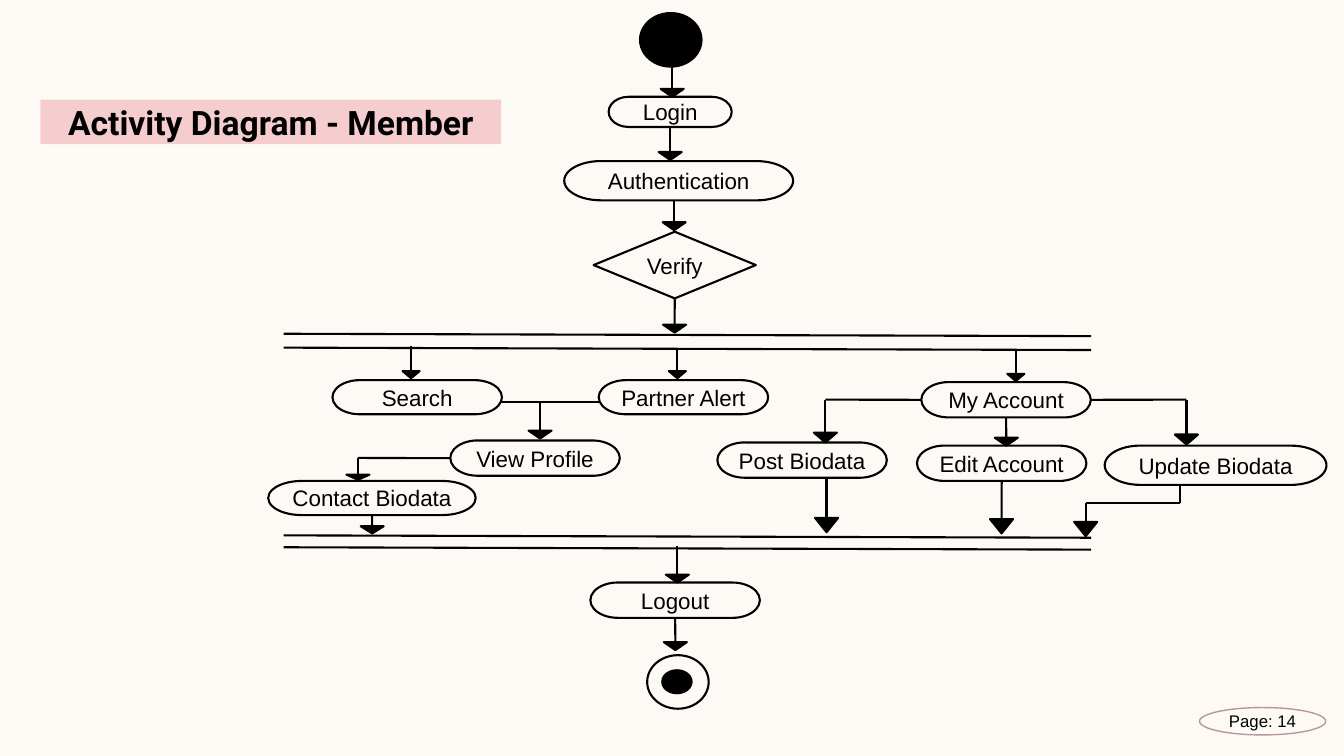
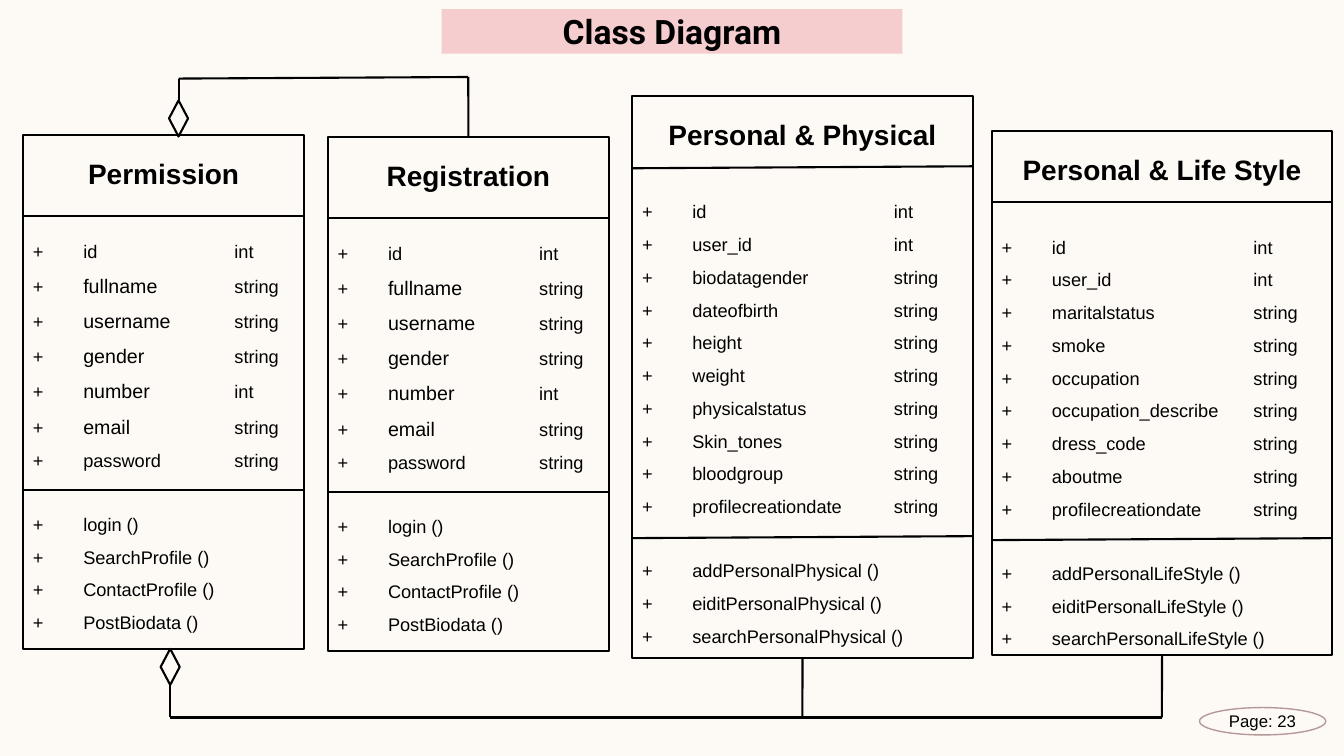
from dataclasses import dataclass
from typing import NamedTuple, Optional

from lxml.etree import SubElement
from pptx import Presentation
from pptx.dml.color import RGBColor
from pptx.enum.shapes import MSO_CONNECTOR, MSO_SHAPE
from pptx.enum.text import MSO_ANCHOR, MSO_AUTO_SIZE, PP_ALIGN
from pptx.oxml.ns import qn
from pptx.util import Cm, Pt


@dataclass(frozen=True)
class Theme:
    paper: RGBColor = RGBColor(0xFD, 0xFA, 0xF6)
    band: RGBColor = RGBColor(0xF5, 0xCD, 0xCE)
    badge: RGBColor = RGBColor(0xB5, 0x98, 0x98)
    ink: RGBColor = RGBColor(0, 0, 0)
    title_font: str = "Roboto"
    font: str = "Arial"
    title: int = 24
    heading: int = 20
    node: int = 16
    large_row: int = 14
    row: int = 13
    page: int = 12
    stroke: float = 1.5


T = Theme()
TOP, LEFT, BOTTOM, RIGHT = range(4)


class Node(NamedTuple):
    text: str
    x: float
    y: float
    w: float = 4.27
    h: float = 0.89
    kind: MSO_SHAPE = MSO_SHAPE.FLOWCHART_TERMINATOR
    filled: bool = False


class Arrow(NamedTuple):
    x: float
    y: float
    tip: float
    head_w: float = 0.58
    head_h: float = 0.2
    source: str = ""


class Attribute(NamedTuple):
    name: str
    type: str
    size: int = T.row


class ClassBox(NamedTuple):
    name: str
    x: float
    y: float
    w: float
    h: float
    type_tab: float
    dividers: tuple  # (left height, right height) of each rule
    attributes: list
    methods: list


def add_run(p, text: str, size: float, bold: bool = False, font: str = T.font) -> None:
    r = p.add_run()
    r.text = text
    r.font.name, r.font.size, r.font.bold = font, Pt(size), bold
    r.font.color.rgb = T.ink


def add_outline(slide, kind, x, y, w, h, filled=False, color=T.ink, width=T.stroke):
    sp = slide.shapes.add_shape(kind, Cm(x), Cm(y), Cm(w), Cm(h))
    sp.shadow.inherit = False
    if filled:
        sp.fill.solid()
        sp.fill.fore_color.rgb = T.ink
    else:
        sp.fill.background()
    sp.line.color.rgb = color
    sp.line.width = Pt(width)
    return sp


def add_label(sp, text: str, size: float) -> None:
    tf = sp.text_frame
    tf.margin_left = tf.margin_right = tf.margin_top = tf.margin_bottom = 0
    tf.vertical_anchor = MSO_ANCHOR.MIDDLE
    p = tf.paragraphs[0]
    p.alignment = PP_ALIGN.CENTER
    add_run(p, text, size)


def add_line(slide, x1: float, y1: float, x2: float, y2: float,
             begin: Optional[tuple] = None, end: Optional[tuple] = None) -> None:
    """Draw a line; begin and end are (shape, side) pairs to join."""
    c = slide.shapes.add_connector(MSO_CONNECTOR.STRAIGHT, Cm(x1), Cm(y1), Cm(x2), Cm(y2))
    c.line.color.rgb = T.ink
    c.line.width = Pt(T.stroke)
    SubElement(c._element.spPr, qn("a:effectLst"))
    if begin:
        c.begin_connect(*begin)
    if end:
        c.end_connect(*end)


def add_node(slide, node: Node):
    sp = add_outline(slide, node.kind, node.x, node.y, node.w, node.h, node.filled)
    if node.text:
        add_label(sp, node.text, T.node)
    return sp


def add_arrow(slide, a: Arrow, nodes: dict) -> None:
    base = a.tip - a.head_h
    begin = (nodes[a.source], BOTTOM) if a.source else None
    add_line(slide, a.x, a.y, a.x, base, begin)
    head = add_outline(slide, MSO_SHAPE.FLOWCHART_EXTRACT, a.x - a.head_w / 2, base,
                       a.head_w, a.head_h, filled=True)
    head.rotation = 180


def add_slide(prs, title: str, x: float, y: float, page: int):
    slide = prs.slides.add_slide(prs.slide_layouts[5])
    sp = slide.shapes.title
    sp.left, sp.top, sp.width, sp.height = Cm(x), Cm(y), Cm(11.61), Cm(1.12)
    sp.fill.solid()
    sp.fill.fore_color.rgb = T.band
    tf = sp.text_frame
    tf.auto_size = MSO_AUTO_SIZE.NONE
    tf.word_wrap = True
    tf.vertical_anchor = MSO_ANCHOR.MIDDLE
    p = tf.paragraphs[0]
    p.alignment = PP_ALIGN.CENTER
    add_run(p, title, T.title, True, T.title_font)
    badge = add_outline(slide, MSO_SHAPE.OVAL, 30.23, 17.83, 3.18, 0.69, color=T.badge, width=1)
    add_label(badge, f"Page: {page}", T.page)
    return slide


def add_row(tf, type_tab: float):
    p = tf.add_paragraph()
    p.alignment = PP_ALIGN.LEFT
    p.line_spacing = 1.5
    tabs = SubElement(p._p.get_or_add_pPr(), qn("a:tabLst"))
    for stop in (1.27, type_tab):
        SubElement(tabs, qn("a:tab"), pos=str(Cm(stop)), algn="l")
    add_run(p, "+\t", T.row)
    return p


def add_class(slide, box: ClassBox):
    sp = add_outline(slide, MSO_SHAPE.RECTANGLE, box.x, box.y, box.w, box.h)
    tf = sp.text_frame
    tf.word_wrap = True
    tf.vertical_anchor = MSO_ANCHOR.TOP
    p = tf.paragraphs[0]
    p.alignment = PP_ALIGN.CENTER
    p.line_spacing = 1.5
    p.space_after = Pt(27.6)
    add_run(p, box.name, T.heading, True)
    for attribute in box.attributes:
        p = add_row(tf, box.type_tab)
        add_run(p, attribute.name, attribute.size)
        add_run(p, f"\t{attribute.type}", T.row)
    for i, method in enumerate(box.methods):
        p = add_row(tf, box.type_tab)
        if i == 0:
            p.space_before = Pt(22.4)
        add_run(p, f"{method} ()", T.row)
    for y1, y2 in box.dividers:
        add_line(slide, box.x, y1, box.x + box.w, y2)
    return sp


NODES = [
    Node("", 16.13, 0.33, 1.55, 1.35, MSO_SHAPE.OVAL, True),
    Node("Login", 15.34, 2.44, 3.1, 0.76),
    Node("Authentication", 14.22, 4.06, 5.77, 0.99),
    Node("Verify", 14.96, 5.84, 4.09, 1.68, MSO_SHAPE.FLOWCHART_DECISION),
    Node("Search", 8.38, 9.58, h=0.86),
    Node("Partner Alert", 15.09, 9.58, h=0.86),
    Node("My Account", 23.22, 9.63),
    Node("View Profile", 11.35, 11.1),
    Node("Post Biodata", 18.08, 11.15),
    Node("Edit Account", 23.11, 11.23),
    Node("Update Biodata", 27.84, 11.23, 5.59, 0.99),
    Node("Contact Biodata", 6.76, 12.12, 5.23, 0.86),
    Node("Logout", 14.88, 14.68),
    Node("", 16.31, 16.51, 1.55, 1.35, MSO_SHAPE.OVAL),
    Node("", 16.69, 16.89, 0.74, 0.58, MSO_SHAPE.OVAL, True),
]

ARROWS = [
    Arrow(16.94, 1.52, 2.44),
    Arrow(16.89, 3.2, 4.03, source="Login"),
    Arrow(16.99, 5.05, 5.8),
    Arrow(17, 7.52, 8.38, source="Verify"),
    Arrow(10.36, 8.71, 9.53, 0.43, 0.18),
    Arrow(17.07, 8.76, 9.53, 0.43, 0.18),
    Arrow(25.6, 8.79, 9.6, 0.43, 0.18),
    Arrow(13.61, 10.13, 11.05),
    Arrow(20.8, 10.07, 11.15, head_h=0.25),
    Arrow(29.9, 10.07, 11.2, head_h=0.25),
    Arrow(25.36, 10.52, 11.23, source="My Account"),
    Arrow(9.02, 11.54, 12.09, head_h=0.13),
    Arrow(20.83, 12.04, 13.41, head_h=0.36),
    Arrow(25.24, 12.12, 13.44, head_h=0.36, source="Edit Account"),
    Arrow(27.36, 12.67, 13.51, head_h=0.36),
    Arrow(9.38, 12.98, 13.44, head_h=0.18, source="Contact Biodata"),
    Arrow(17.07, 13.77, 14.68),
    Arrow(17.02, 15.57, 16.38, source="Logout"),
]

USER_ATTRIBUTES = [
    Attribute("id", "int"),
    *(Attribute(name, kind, T.large_row) for name, kind in (
        ("fullname", "string"), ("username", "string"), ("gender", "string"),
        ("number", "int"), ("email", "string"))),
    Attribute("password", "string"),
]
USER_METHODS = ["login", "SearchProfile", "ContactProfile", "PostBiodata"]


def profile_attributes(*names: str) -> list:
    keys = [Attribute("id", "int"), Attribute("user_id", "int")]
    return keys + [Attribute(name, "string") for name in (*names, "profilecreationdate")]


def profile_methods(subject: str) -> list:
    return [f"{verb}Personal{subject}" for verb in ("add", "eidit", "search")]


CLASSES = [
    ClassBox("Permission", 0.58, 3.4, 7.09, 12.95, 5.08, ((5.44, 5.44), (12.34, 12.34)),
             USER_ATTRIBUTES, USER_METHODS),
    ClassBox("Registration", 8.26, 3.45, 7.09, 12.95, 5.08, ((5.49, 5.49), (12.4, 12.4)),
             USER_ATTRIBUTES, USER_METHODS),
    ClassBox("Personal & Physical", 15.93, 2.41, 8.59, 14.17, 6.35,
             ((4.24, 4.19), (13.56, 13.51)),
             profile_attributes("biodatagender", "dateofbirth", "height", "weight",
                                "physicalstatus", "Skin_tones", "bloodgroup"),
             profile_methods("Physical")),
    ClassBox("Personal & Life Style", 24.99, 3.3, 8.59, 13.21, 6.35,
             ((5.08, 5.08), (13.61, 13.56)),
             profile_attributes("maritalstatus", "smoke", "occupation", "occupation_describe",
                                "dress_code", "aboutme"),
             profile_methods("LifeStyle")),
]


def build_activity(prs) -> None:
    slide = add_slide(prs, "Activity Diagram - Member", 1.02, 2.51, 14)
    nodes = {node.text: add_node(slide, node) for node in NODES}
    for y in (8.41, 8.76, 13.49, 13.79):
        add_line(slide, 7.15, y, 27.5, y + 0.06)
    for arrow in ARROWS:
        add_arrow(slide, arrow, nodes)
    account, view = nodes["My Account"], nodes["View Profile"]
    add_line(slide, 23.22, 10.07, 20.8, 10.07, (account, LEFT))
    add_line(slide, 27.49, 10.07, 29.9, 10.07, (account, RIGHT))
    add_line(slide, 11.35, 11.54, 9.02, 11.54, (view, LEFT))
    add_line(slide, 12.65, 10.13, 15.09, 10.13)
    add_line(slide, 29.74, 12.22, 29.74, 12.67)
    add_line(slide, 29.74, 12.67, 27.36, 12.67)


def build_classes(prs) -> None:
    slide = add_slide(prs, "Class Diagram", 11.13, 0.23, 23)
    _, registration, physical, life_style = [add_class(slide, box) for box in CLASSES]
    upper, lower = [add_outline(slide, MSO_SHAPE.FLOWCHART_DECISION, x, y, 0.48, 0.91)
                    for x, y in ((4.26, 2.53), (4.05, 16.35))]
    add_line(slide, 11.8, 1.94, 11.8, 3.45, end=(registration, TOP))
    add_line(slide, 11.8, 1.94, 4.5, 1.98)
    add_line(slide, 4.5, 1.98, 4.5, 2.53, end=(upper, TOP))
    bus = 18.08
    for x, y, sp in ((4.29, 17.26, lower), (20.22, 16.58, physical), (29.28, 16.51, life_style)):
        add_line(slide, x, y, x, bus, (sp, BOTTOM))
    add_line(slide, 29.28, bus, 4.29, bus)


def main() -> None:
    prs = Presentation()
    prs.slide_width, prs.slide_height = Cm(33.87), Cm(19.05)
    fill = prs.slide_master.background.fill
    fill.solid()
    fill.fore_color.rgb = T.paper
    build_activity(prs)
    build_classes(prs)
    prs.save("out.pptx")


if __name__ == "__main__":
    main()
